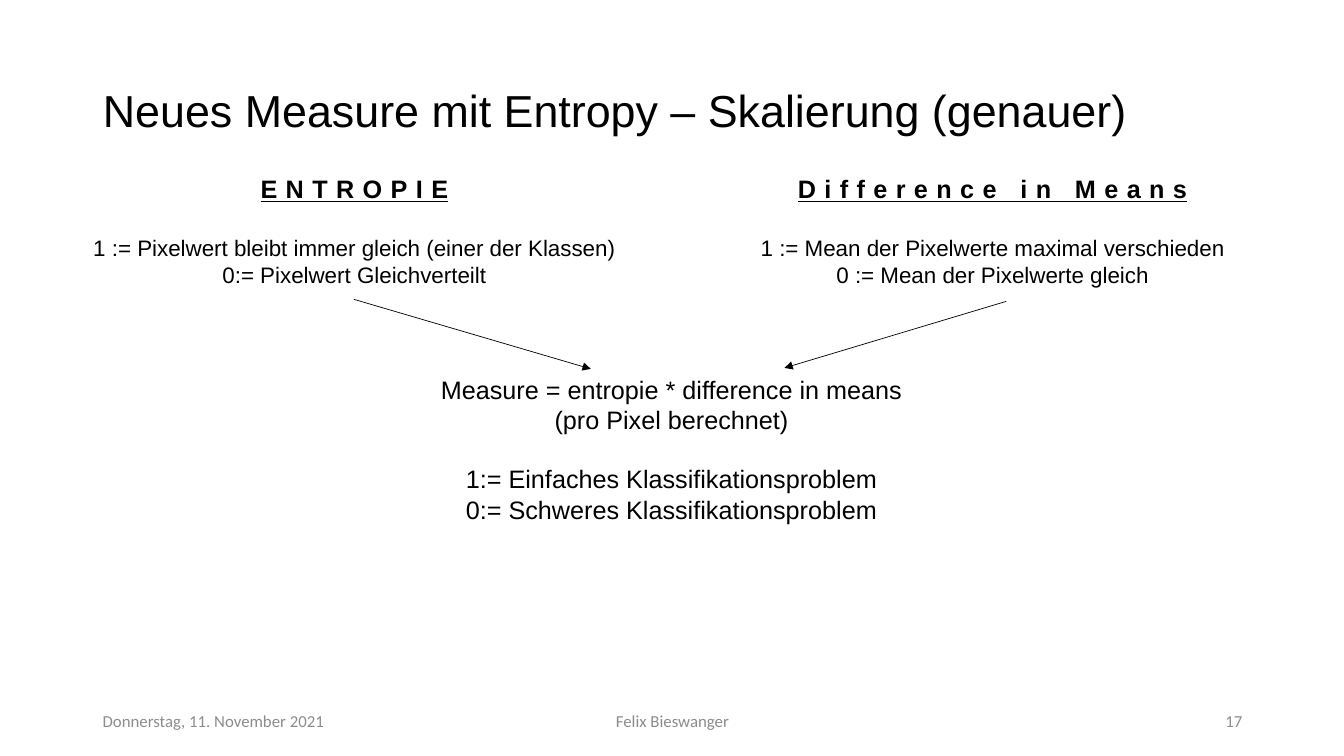
from pptx import Presentation
from pptx.dml.color import RGBColor as Rgb
from pptx.enum.shapes import MSO_CONNECTOR as Conn
from pptx.enum.text import MSO_ANCHOR as Anchor, MSO_AUTO_SIZE as Fit, PP_ALIGN as Align
from pptx.oxml.ns import qn
from pptx.util import Pt
from lxml.etree import SubElement as Sub

PX = 9144
THEME = {
    "ink": Rgb(0, 0, 0),
    "grey": Rgb(0x8C, 0x8C, 0x8C),
    "body": "Arial",
    "foot": "Calibri",
    "title": Pt(32),
    "large": Pt(18),
    "text": Pt(16),
    "small": Pt(12),
    "track": 600,
    "line": Pt(0.5),
}
LARGE = {"name": THEME["body"], "size": THEME["large"]}
TEXT = {"name": THEME["body"], "size": THEME["text"]}
HEAD = {**LARGE, "bold": True, "underline": True}
TITLE = {"name": THEME["body"], "size": THEME["title"]}
FOOT = {"name": THEME["foot"], "size": THEME["small"]}


def place(shape, box, anchor):
    shape.left, shape.top, shape.width, shape.height = [n * PX for n in box]
    frame = shape.text_frame
    form = {"word_wrap": True, "auto_size": Fit.NONE, "vertical_anchor": anchor}
    for key, val in form.items():
        setattr(frame, key, val)
    return frame


def write(par, text, look, ink, align, gap=0):
    par.alignment = align
    par.space_before = Pt(gap)
    run = par.add_run()
    run.text = text
    for key, val in look.items():
        setattr(run.font, key, val)
    run.font.color.rgb = ink
    return run


deck = Presentation()
deck.slide_width, deck.slide_height = 1333 * PX, 750 * PX
slide = deck.slides.add_slide(deck.slide_layouts[5])

frame = place(slide.shapes.title, (92, 40, 1150, 145), Anchor.MIDDLE)
par = frame.paragraphs[0]
par.line_spacing = 0.9
write(par, "Neues Measure mit Entropy – Skalierung (genauer)", TITLE, THEME["ink"], Align.LEFT)

feet = [
    (92, 300, "Donnerstag, 11. November 2021", Align.LEFT),
    (442, 450, "Felix Bieswanger", Align.CENTER),
    (942, 300, "17", Align.RIGHT),
]
for left, width, text, align in feet:
    frame = place(slide.shapes.add_textbox(0, 0, 0, 0), (left, 695, width, 40), Anchor.MIDDLE)
    write(frame.paragraphs[0], text, FOOT, THEME["grey"], align)

blocks = [
    ((56, 167, 591, 178), [
        ("ENTROPIE", HEAD, 0),
        ("1 := Pixelwert bleibt immer gleich (einer der Klassen)", TEXT, 22),
        ("0:= Pixelwert Gleichverteilt", TEXT, 0),
    ]),
    ((689, 167, 591, 178), [
        ("Difference in Means", HEAD, 0),
        ("1 := Mean der Pixelwerte maximal verschieden", TEXT, 22),
        ("0 := Mean der Pixelwerte gleich", TEXT, 0),
    ]),
    ((409, 366, 514, 162), [
        ("Measure = entropie * difference in means", LARGE, 0),
        ("(pro Pixel berechnet)", LARGE, 0),
        ("1:= Einfaches Klassifikationsproblem", LARGE, 21),
        ("0:= Schweres Klassifikationsproblem", LARGE, 0),
    ]),
]
for box, lines in blocks:
    frame = place(slide.shapes.add_textbox(0, 0, 0, 0), box, Anchor.TOP)
    for row, (text, look, gap) in enumerate(lines):
        par = frame.add_paragraph() if row else frame.paragraphs[0]
        run = write(par, text, look, THEME["ink"], Align.CENTER, gap)
        if look is HEAD:
            run._r.get_or_add_rPr().set("spc", str(THEME["track"]))

for ends in [(351, 297, 586, 366), (998, 299, 778, 365)]:
    arrow = slide.shapes.add_connector(Conn.STRAIGHT, *[n * PX for n in ends])
    arrow.line.color.rgb = THEME["ink"]
    arrow.line.width = THEME["line"]
    Sub(arrow.line._get_or_add_ln(), qn("a:tailEnd"), type="triangle")
    Sub(arrow._element.spPr, qn("a:effectLst"))

deck.save("out.pptx")
